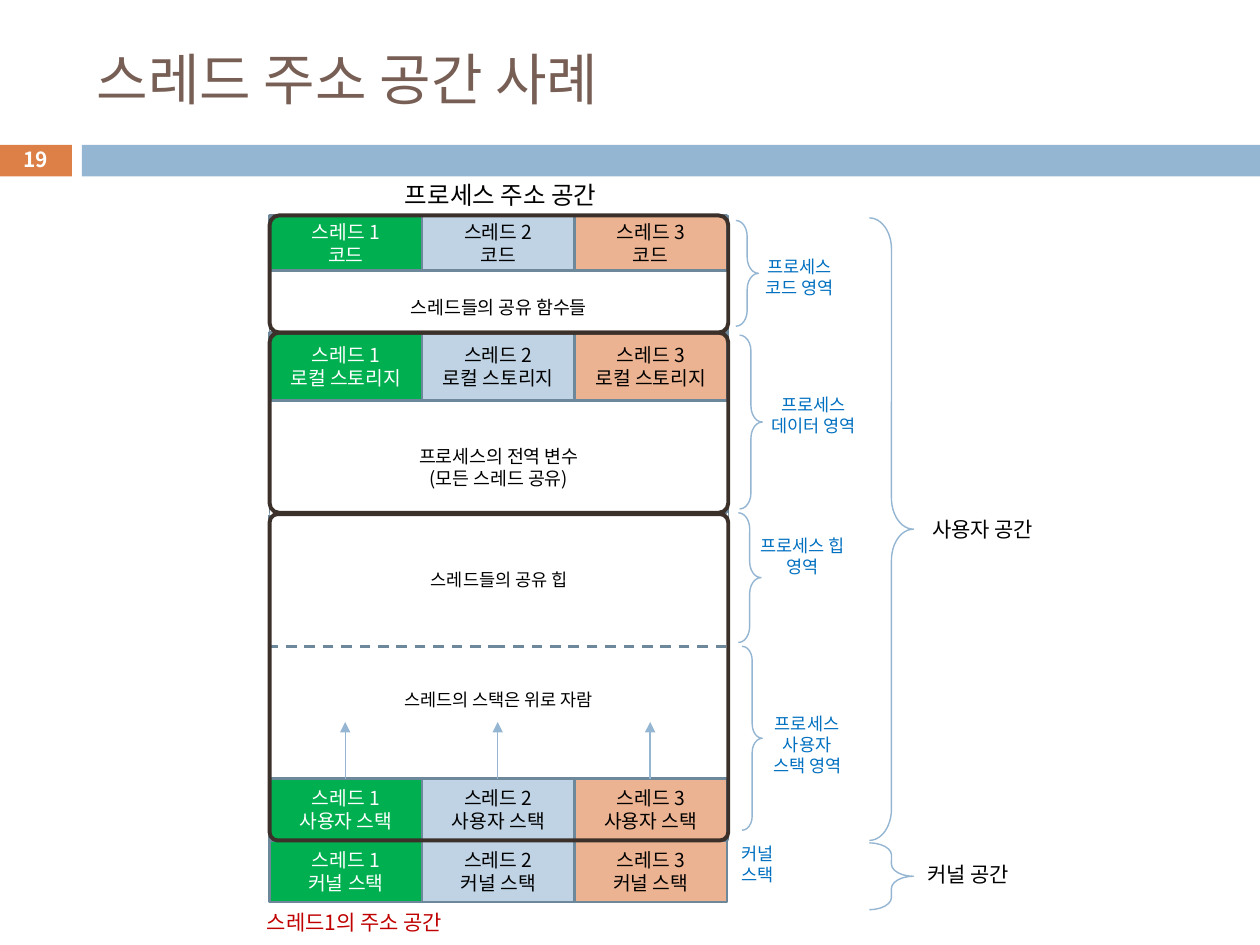
"""Build a slide on how threads share a process address space."""
from lxml.etree import SubElement
from pptx import Presentation
from pptx.dml.color import RGBColor
from pptx.enum.dml import MSO_LINE
from pptx.enum.shapes import MSO_CONNECTOR, MSO_SHAPE
from pptx.enum.text import MSO_ANCHOR, PP_ALIGN
from pptx.oxml.ns import qn
from pptx.util import Pt

PX = 9144
FONT = "Noto Sans CJK KR"
COLORS = {
    "white": "FFFFFF", "black": "000000", "title": "775F55", "orange": "DD8047",
    "blue": "94B6D2", "edge": "6D879B", "frame": "3C302A", "label": "0070C0",
    "red": "C00000", "green": "00B050", "pale_blue": "BFD3E4", "peach": "EBB391",
}

deck = Presentation()
deck.slide_width, deck.slide_height = 1000 * PX, 750 * PX
page = deck.slides.add_slide(deck.slide_layouts[6])


def add_shape(kind, place, fill=None, line=None, weight=1.5, adjust=None):
    shape = page.shapes.add_shape(kind, *[value * PX for value in place])
    shape.shadow.inherit = False
    if fill:
        shape.fill.solid()
        shape.fill.fore_color.rgb = RGBColor.from_string(COLORS[fill])
    else:
        shape.fill.background()
    if line:
        shape.line.color.rgb = RGBColor.from_string(COLORS[line])
        shape.line.width = Pt(weight)
    else:
        shape.line.fill.background()
    if adjust:
        shape.adjustments[0] = adjust
    return shape


def write(box, text, size, color, align=PP_ALIGN.CENTER, anchor=MSO_ANCHOR.MIDDLE, wrap=True, bold=False):
    frame = box.text_frame
    frame.text = text
    frame.word_wrap = wrap
    frame.vertical_anchor = anchor
    for paragraph in frame.paragraphs:
        paragraph.alignment = align
        paragraph.font.size = Pt(size)
        paragraph.font.name = FONT
        paragraph.font.bold = bold
        paragraph.font.color.rgb = RGBColor.from_string(COLORS[color])


# Header
add_shape(MSO_SHAPE.RECTANGLE, (-1, 115, 58, 25), "orange")
add_shape(MSO_SHAPE.RECTANGLE, (65, 115, 935, 25), "blue")
title = page.shapes.add_textbox(67 * PX, 25 * PX, 892 * PX, 74 * PX)
write(title, "스레드 주소 공간 사례", 32, "title", PP_ALIGN.LEFT)
number = page.shapes.add_textbox(-1 * PX, 113 * PX, 58 * PX, 27 * PX)
write(number, "19", 11.9, "white", bold=True)

# Address space
LEFT, WIDTH, CELL = 214, 364, 121
add_shape(MSO_SHAPE.RECTANGLE, (LEFT, 171, WIDTH, 496), "white", "edge", 1)
heap = add_shape(MSO_SHAPE.RECTANGLE, (LEFT, 407, WIDTH, 106), "white", "edge")
heap.line.dash_style = MSO_LINE.DASH
write(heap, "스레드들의 공유 힙", 10, "black")

threads = [("green", "white"), ("pale_blue", "black"), ("peach", "black")]
rows = [("코드", 171, 44), ("로컬 스토리지", 264, 54), ("사용자 스택", 618, 49), ("커널 스택", 667, 49)]
for part, top, height in rows:
    for index, (fill, color) in enumerate(threads):
        cell = add_shape(MSO_SHAPE.RECTANGLE, (LEFT + index * CELL, top, CELL, height), fill, "edge")
        write(cell, f"스레드 {index + 1}\n{part}", 11, color)

frames = [
    (171, 93, 0.082, 58, "스레드들의 공유 함수들"),
    (264, 143, 0.053, 76, "프로세스의 전역 변수\n(모든 스레드 공유)"),
    (408, 259, 0.025, 0, ""),
]
for top, height, adjust, inset, text in frames:
    frame = add_shape(MSO_SHAPE.ROUNDED_RECTANGLE, (LEFT, top, WIDTH, height), None, "frame", 2.25, adjust)
    if text:
        frame.text_frame.margin_top = inset * PX
        write(frame, text, 10.5, "black")

for index in range(len(threads)):
    center = (LEFT + index * CELL + 60) * PX
    arrow = page.shapes.add_connector(MSO_CONNECTOR.STRAIGHT, center, 618 * PX, center, 573 * PX)
    arrow.line.color.rgb = RGBColor.from_string(COLORS["blue"])
    arrow.line.width = Pt(0.79)
    properties = arrow._element.spPr
    SubElement(properties.find(qn("a:ln")), qn("a:tailEnd"), type="triangle")
    SubElement(properties, qn("a:effectLst"))

braces = [
    (584, 175, 18, 84, 0.705), (587, 266, 18, 138, 0.705), (586, 407, 18, 103, 0.705),
    (589, 513, 16, 146, 0.705), (690, 173, 35, 494, 0.705), (690, 669, 35, 53, 0.275),
]
for *place, adjust in braces:
    add_shape(MSO_SHAPE.RIGHT_BRACE, place, None, "blue", 0.79, adjust)

area_labels = [
    (587, 198, 95, 44, "프로세스\n코드 영역"),
    (591, 308, 110, 44, "프로세스\n데이터 영역"),
    (592, 420, 90, 44, "프로세스 힙 영역"),
    (590, 561, 101, 61, "프로세스\n사용자\n스택 영역"),
    (572, 664, 59, 44, "커널\n스택"),
]
for *place, text in area_labels:
    box = page.shapes.add_textbox(*[value * PX for value in place])
    write(box, text, 10, "label", anchor=MSO_ANCHOR.TOP)

captions = [
    (302, 138, 191, 34, "프로세스 주소 공간", 14, "black"),
    (301, 542, 189, 27, "스레드의 스택은 위로 자람", 10, "black"),
    (725, 405, 110, 30, "사용자 공간", 12, "black"),
    (722, 679, 93, 30, "커널 공간", 12, "black"),
    (190, 717, 183, 30, "스레드1의 주소 공간", 12, "red"),
]
for *place, text, size, color in captions:
    box = page.shapes.add_textbox(*[value * PX for value in place])
    write(box, text, size, color, anchor=MSO_ANCHOR.TOP, wrap=False)

deck.save("out.pptx")
